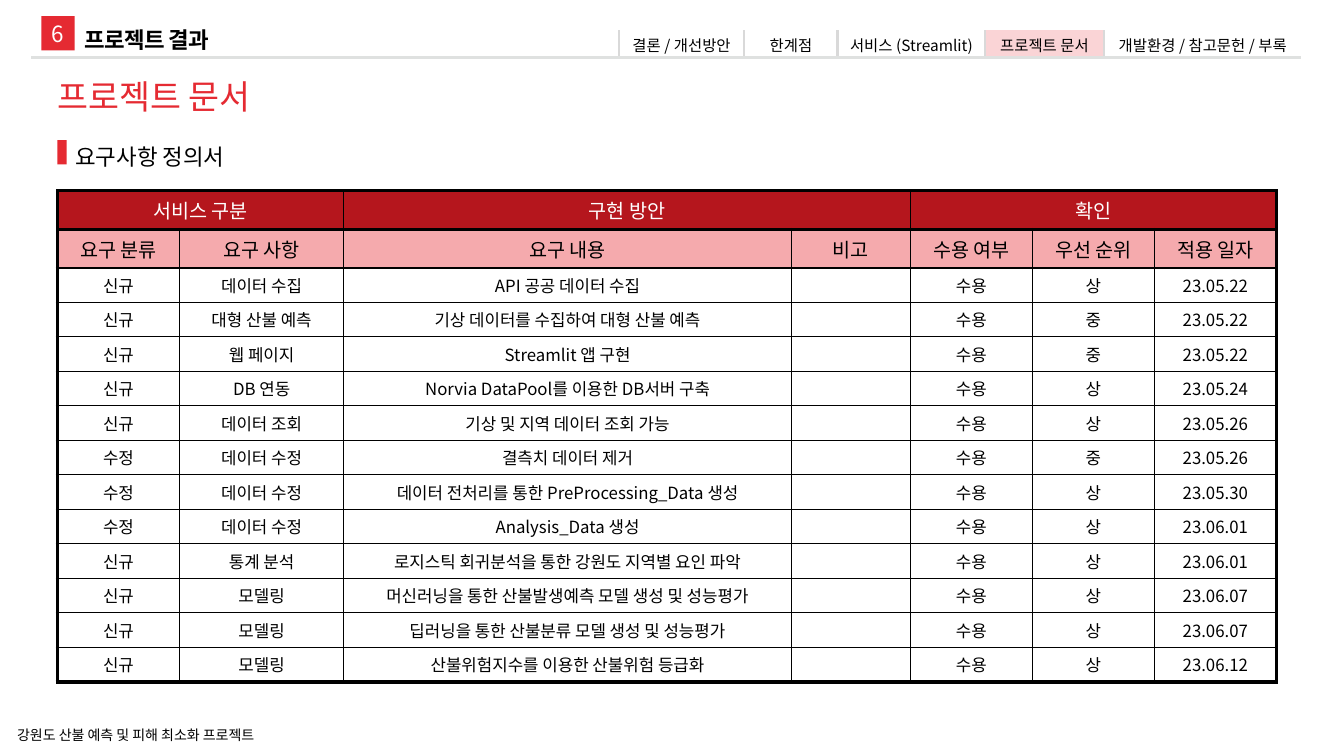
from dataclasses import dataclass

from lxml.etree import SubElement
from pptx import Presentation
from pptx.dml.color import RGBColor
from pptx.enum.shapes import MSO_CONNECTOR, MSO_SHAPE
from pptx.enum.text import MSO_ANCHOR, MSO_AUTO_SIZE, PP_ALIGN
from pptx.oxml.ns import qn
from pptx.util import Inches, Pt

SECTION_NUMBER, SECTION = "6", "프로젝트 결과"
TITLE, SUBTITLE = "프로젝트 문서", "요구사항 정의서"
FOOTER = "강원도 산불 예측 및 피해 최소화 프로젝트"
NAV = [("결론 / 개선방안", 1.24), ("한계점", 0.93), ("서비스 (Streamlit)", 1.46),
       ("프로젝트 문서", 1.18), ("개발환경 / 참고문헌 / 부록", 1.96)]
CURRENT_TAB = "프로젝트 문서"

GROUPS = [("서비스 구분", 2), ("구현 방안", 2), ("확인", 3)]
COLUMNS = [("요구 분류", 1.21), ("요구 사항", 1.63), ("요구 내용", 4.44), ("비고", 1.18),
           ("수용 여부", 1.21), ("우선 순위", 1.21), ("적용 일자", 1.21)]
REQUIREMENTS = [
    ("신규", "데이터 수집", "API 공공 데이터 수집", "", "수용", "상", "23.05.22"),
    ("신규", "대형 산불 예측", "기상 데이터를 수집하여 대형 산불 예측", "", "수용", "중", "23.05.22"),
    ("신규", "웹 페이지", "Streamlit 앱 구현", "", "수용", "중", "23.05.22"),
    ("신규", "DB 연동", "Norvia DataPool를 이용한 DB서버 구축", "", "수용", "상", "23.05.24"),
    ("신규", "데이터 조회", "기상 및 지역 데이터 조회 가능", "", "수용", "상", "23.05.26"),
    ("수정", "데이터 수정", "결측치 데이터 제거", "", "수용", "중", "23.05.26"),
    ("수정", "데이터 수정", "데이터 전처리를 통한 PreProcessing_Data 생성", "", "수용", "상", "23.05.30"),
    ("수정", "데이터 수정", "Analysis_Data 생성", "", "수용", "상", "23.06.01"),
    ("신규", "통계 분석", "로지스틱 회귀분석을 통한 강원도 지역별 요인 파악", "", "수용", "상", "23.06.01"),
    ("신규", "모델링", "머신러닝을 통한 산불발생예측 모델 생성 및 성능평가", "", "수용", "상", "23.06.07"),
    ("신규", "모델링", "딥러닝을 통한 산불분류 모델 생성 및 성능평가", "", "수용", "상", "23.06.07"),
    ("신규", "모델링", "산불위험지수를 이용한 산불위험 등급화", "", "수용", "상", "23.06.12"),
]


@dataclass(frozen=True)
class Theme:
    font: str = "Noto Sans CJK KR"
    black: str = "000000"
    white: str = "FFFFFF"
    red: str = "E52A32"
    dark_red: str = "B5161D"
    pink: str = "F5AAAD"
    pale_pink: str = "FAD4D6"
    divider: str = "D9D9D9"
    rule: str = "DFE1E0"
    title: int = 24
    heading: int = 16
    header: int = 14
    body: int = 12
    nav: int = 11
    footer: int = 10
    thin: float = 1
    medium: float = 2.25
    thick: float = 3


THEME = Theme()
PLAIN_TABLE = "{2D5ABB26-0587-4C30-8999-92F81FD0307C}"
MARGIN_LEFT = 0.57


def write(frame, text, size, color=THEME.black, align=PP_ALIGN.LEFT,
          bold=False, line_spacing=None, tracking=None):
    paragraph = frame.paragraphs[0]
    paragraph.alignment = align
    if line_spacing:
        paragraph.line_spacing = line_spacing
    if not text:  # an empty cell still needs its type size to keep the row low
        paragraph._p.get_or_add_endParaRPr().set("sz", str(size * 100))
        return
    run = paragraph.add_run()
    run.text = text
    run.font.size, run.font.bold, run.font.name = Pt(size), bold, THEME.font
    run.font.color.rgb = RGBColor.from_string(color)
    properties = run.font._element
    SubElement(properties, qn("a:ea")).set("typeface", THEME.font)
    if tracking:
        properties.set("spc", str(int(tracking * 100)))


def add_label(shapes, box, text, size, inset=(0, 0), wrap=False, **text_format):
    frame = shapes.add_textbox(*map(Inches, box)).text_frame
    frame.margin_left = frame.margin_right = Inches(inset[0])
    frame.margin_top = frame.margin_bottom = Inches(inset[1])
    frame.word_wrap = wrap
    frame.auto_size = MSO_AUTO_SIZE.SHAPE_TO_FIT_TEXT
    write(frame, text, size, **text_format)


def add_block(shapes, box):
    block = shapes.add_shape(MSO_SHAPE.RECTANGLE, *map(Inches, box))
    block.shadow.inherit = False
    block.fill.solid()
    block.fill.fore_color.rgb = RGBColor.from_string(THEME.red)
    block.line.fill.background()
    return block


def add_grid(shapes, left, top, widths, heights):
    frame = shapes.add_table(len(heights), len(widths), Inches(left), Inches(top),
                             Inches(sum(widths)), Inches(sum(heights)))
    table = frame.table
    table.first_row = table.horz_banding = False
    table._tbl.tblPr.find(qn("a:tableStyleId")).text = PLAIN_TABLE
    for column, width in zip(table.columns, widths):
        column.width = Inches(width)
    for row, height in zip(table.rows, heights):
        row.height = Inches(height)
    return table


def fill_cell(cell, text, size, fill=None, borders=None, border_color=THEME.black,
              inset=None, color=THEME.black):
    """borders maps the sides L, R, T, B, in that order, to widths in points."""
    cell.vertical_anchor = MSO_ANCHOR.MIDDLE
    if inset is not None:
        cell.margin_left = cell.margin_right = Inches(inset)
        cell.margin_top = cell.margin_bottom = Inches(inset)
    properties = cell._tc.get_or_add_tcPr()
    for side, width in borders.items():
        line = SubElement(properties, qn(f"a:ln{side}"), w=str(int(Pt(width))))
        solid = SubElement(line, qn("a:solidFill"))
        SubElement(solid, qn("a:srgbClr"), val=border_color)
    if fill:
        cell.fill.solid()
        cell.fill.fore_color.rgb = RGBColor.from_string(fill)
    else:
        cell.fill.background()
    write(cell.text_frame, text, size, color=color, align=PP_ALIGN.CENTER)


def add_requirements(shapes):
    names, widths = zip(*COLUMNS)
    spans, group_row = {}, []
    for group, span in GROUPS:
        spans[len(group_row)] = span
        group_row += [group] + [""] * (span - 1)
    rows = [group_row, names, *REQUIREMENTS]
    heights = [0.25, 0.31] + [0.32] * len(REQUIREMENTS)
    table = add_grid(shapes, MARGIN_LEFT, 1.89, widths, heights)
    styles = [dict(size=THEME.header, fill=THEME.dark_red, color=THEME.white),
              dict(size=THEME.header, fill=THEME.pink)]
    for r, row in enumerate(rows):
        style = styles[r] if r < len(styles) else dict(size=THEME.body)
        outer = THEME.thick if r else THEME.medium
        for c, text in enumerate(row):
            end = c + (spans.get(c, 1) if r == 0 else 1)
            borders = {
                "L": outer if c == 0 else THEME.thin,
                "R": outer if end == len(row) else THEME.thin,
                "T": THEME.medium if r < 2 else THEME.thin,
                "B": (THEME.medium if r == 0 else
                      THEME.thick if r == len(rows) - 1 else THEME.thin),
            }
            fill_cell(table.cell(r, c), text, borders=borders, **style)
    for start, span in spans.items():
        table.cell(0, start).merge(table.cell(0, start + span - 1))


def add_nav(shapes):
    tabs, widths = zip(*NAV)
    table = add_grid(shapes, 6.14, 0.3, widths, [0.28])
    for c, tab in enumerate(tabs):
        sides = "L" if c == len(tabs) - 1 else "LR"
        fill_cell(table.cell(0, c), tab, THEME.nav, inset=0,
                  fill=THEME.pale_pink if tab == CURRENT_TAB else None,
                  borders=dict.fromkeys(sides, THEME.medium), border_color=THEME.divider)


def add_header_rule(shapes):
    y = Inches(0.57)
    rule = shapes.add_connector(MSO_CONNECTOR.STRAIGHT, Inches(0.31), y, Inches(12.9), y)
    rule.line.color.rgb = RGBColor.from_string(THEME.rule)
    rule.line.width = Pt(THEME.medium)
    SubElement(rule._element.spPr, qn("a:effectLst"))


def add_section_heading(shapes):
    heading = shapes.add_group_shape().shapes
    badge = add_block(heading, (0.41, 0.16, 0.33, 0.34)).text_frame
    badge.vertical_anchor = MSO_ANCHOR.MIDDLE
    write(badge, SECTION_NUMBER, THEME.heading, color=THEME.white, align=PP_ALIGN.CENTER)
    add_label(heading, (0.84, 0.21, 1.25, 0.31), SECTION, THEME.heading,
              bold=True, line_spacing=1.2, tracking=-0.5)


def main():
    deck = Presentation()
    deck.slide_width, deck.slide_height = Inches(13.33), Inches(7.5)
    shapes = deck.slides.add_slide(deck.slide_layouts[6]).shapes
    add_requirements(shapes)
    add_label(shapes, (MARGIN_LEFT, 0.75, 2.55, 0.4), TITLE, THEME.title,
              color=THEME.red, wrap=True)
    add_label(shapes, (0.17, 7.21, 2.42, 0.17), FOOTER, THEME.footer)
    add_block(shapes, (MARGIN_LEFT, 1.39, 0.09, 0.24))
    add_label(shapes, (0.65, 1.24, 1.71, 0.47), SUBTITLE, THEME.heading,
              inset=(0.1, 0.05), line_spacing=1.5)
    add_nav(shapes)
    add_header_rule(shapes)
    add_section_heading(shapes)
    deck.save("out.pptx")


if __name__ == "__main__":
    main()
